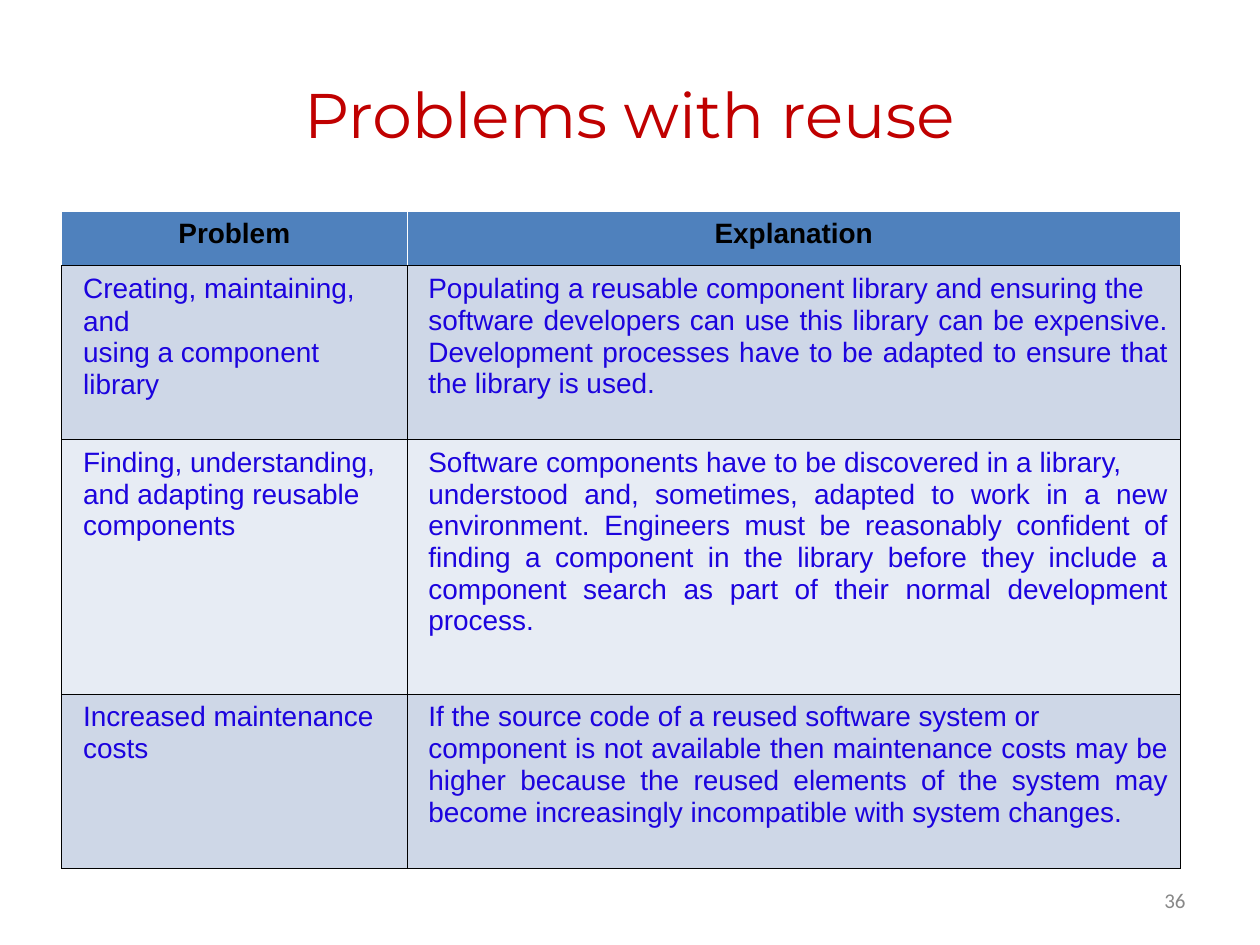
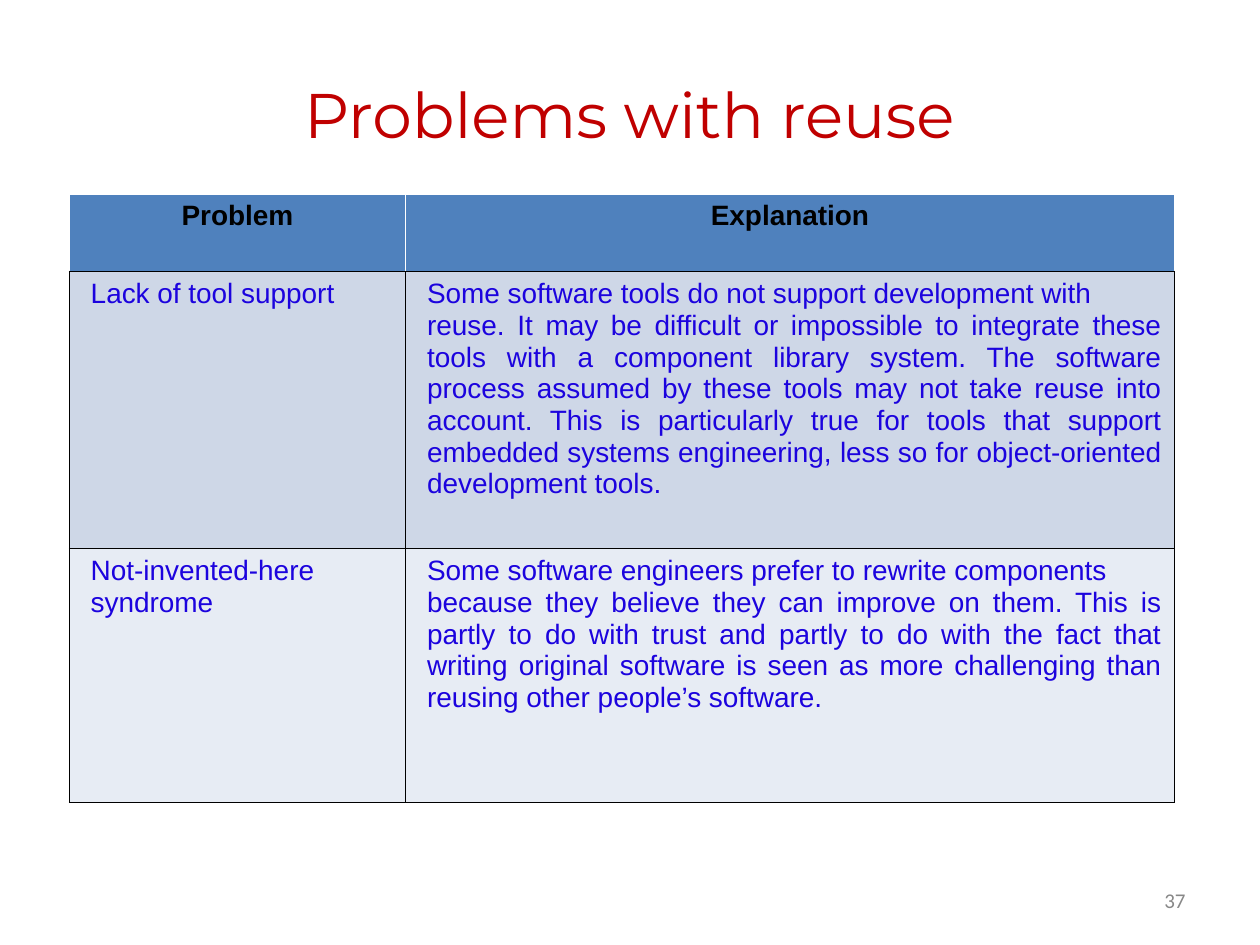
"""Build two slides that list the problems with software reuse in tables."""
from lxml.etree import SubElement
from pptx import Presentation
from pptx.dml.color import RGBColor
from pptx.enum.text import PP_ALIGN
from pptx.oxml.ns import qn
from pptx.util import Inches, Pt

TITLE_RED = "C00000"
NUMBER_GREY = "888888"
HEADER_BLUE = "4F81BD"
BAND_FILLS = ["CED7E7", "E7ECF4"]
BODY_BLUE = "1C03DE"
BLACK = "000000"
WHITE = "FFFFFF"
HEADINGS = ["Problem", "Explanation"]

SLIDES = [
    {
        "number": "36",
        "corner": (0.49, 1.68),
        "columns": [2.74, 6.14],
        "heights": [0.43, 1.38, 2.02, 1.38],
        "rows": [
            (["Creating, maintaining, and", "using a component library"],
             ["Populating a reusable component library and ensuring the",
              "software developers can use this library can be expensive. "
              "Development processes have to be adapted to ensure that "
              "the library is used."]),
            (["Finding, understanding,", "and adapting reusable components"],
             ["Software components have to be discovered in a library,",
              "understood and, sometimes, adapted to work in a new "
              "environment. Engineers must be reasonably confident of "
              "finding a component in the library before they include a "
              "component search as part of their normal development process."]),
            (["Increased maintenance", "costs"],
             ["If the source code of a reused software system or",
              "component is not available then maintenance costs may be "
              "higher because the reused elements of the system may "
              "become increasingly incompatible with system changes."]),
        ],
    },
    {
        "number": "37",
        "corner": (0.55, 1.54),
        "columns": [2.67, 6.1],
        "heights": [0.61, 2.2, 2.02],
        "rows": [
            (["Lack of tool support"],
             ["Some software tools do not support development with",
              "reuse. It may be difficult or impossible to integrate these "
              "tools with a component library system. The software process "
              "assumed by these tools may not take reuse into account. "
              "This is particularly true for tools that support embedded "
              "systems engineering, less so for object-oriented "
              "development tools."]),
            (["Not-invented-here", "syndrome"],
             ["Some software engineers prefer to rewrite components",
              "because they believe they can improve on them. This is "
              "partly to do with trust and partly to do with the fact that "
              "writing original software is seen as more challenging than "
              "reusing other people’s software."]),
        ],
    },
]


def add_span(para, text, font, size, color, bold=False):
    span = para.add_run()
    span.text = text
    span.font.name = font
    span.font.size = Pt(size)
    span.font.bold = bold
    span.font.color.rgb = RGBColor.from_string(color)


def style_cell(cell, fill, side_color):
    properties = cell._tc.get_or_add_tcPr()
    for side, color in zip("LRTB", [side_color] * 3 + [BLACK]):
        line = SubElement(properties, qn(f"a:ln{side}"), w=str(Pt(0.45)))
        line_fill = SubElement(line, qn("a:solidFill"))
        SubElement(line_fill, qn("a:srgbClr"), val=color)
    cell.fill.solid()
    cell.fill.fore_color.rgb = RGBColor.from_string(fill)


deck = Presentation()
deck.slide_width = Inches(10)
deck.slide_height = Inches(7.5)

for content in SLIDES:
    page = deck.slides.add_slide(deck.slide_layouts[6])

    for text, place, font, size, color, alignment in [
        (content["number"], (9.2, 7.07, 0.25, 0.17), "Calibri", 12, NUMBER_GREY, PP_ALIGN.LEFT),
        ("Problems with reuse", (2.18, 0.6, 5.63, 0.62), "Montserrat", 36, TITLE_RED, PP_ALIGN.CENTER),
    ]:
        box = page.shapes.add_textbox(*[Inches(length) for length in place])
        frame = box.text_frame
        frame.word_wrap = True
        frame.margin_left = frame.margin_right = 0
        frame.margin_top = frame.margin_bottom = 0
        para = frame.paragraphs[0]
        para.alignment = alignment
        add_span(para, text, font, size, color)
        if alignment == PP_ALIGN.LEFT:
            para.line_spacing = Pt(12.4)
            para._p.get_or_add_pPr().set("marL", str(Inches(0.04)))

    left, top = content["corner"]
    widths, heights = content["columns"], content["heights"]
    table = page.shapes.add_table(
        len(heights), len(widths), Inches(left), Inches(top),
        Inches(sum(widths)), Inches(sum(heights))).table
    table.first_row = False
    table.horz_banding = False
    for column, width in zip(table.columns, widths):
        column.width = Inches(width)
    for row, height in zip(table.rows, heights):
        row.height = Inches(height)

    for column_index, heading in enumerate(HEADINGS):
        cell = table.cell(0, column_index)
        style_cell(cell, HEADER_BLUE, WHITE)
        para = cell.text_frame.paragraphs[0]
        para.alignment = PP_ALIGN.CENTER
        add_span(para, heading, "Arial", 16, BLACK, bold=True)

    for row_index, problem_row in enumerate(content["rows"]):
        for column_index, lines in enumerate(problem_row):
            cell = table.cell(row_index + 1, column_index)
            style_cell(cell, BAND_FILLS[row_index % 2], BLACK)
            frame = cell.text_frame
            for line_index, text in enumerate(lines):
                para = frame.add_paragraph() if line_index else frame.paragraphs[0]
                para.alignment = [PP_ALIGN.LEFT, PP_ALIGN.JUSTIFY][column_index]
                para.line_spacing = 1.02 if line_index else Pt(18.5)
                para._p.get_or_add_pPr().set("marL", str(Inches(0.07)))
                add_span(para, text, "Arial", 16, BODY_BLUE)

deck.save("out.pptx")
